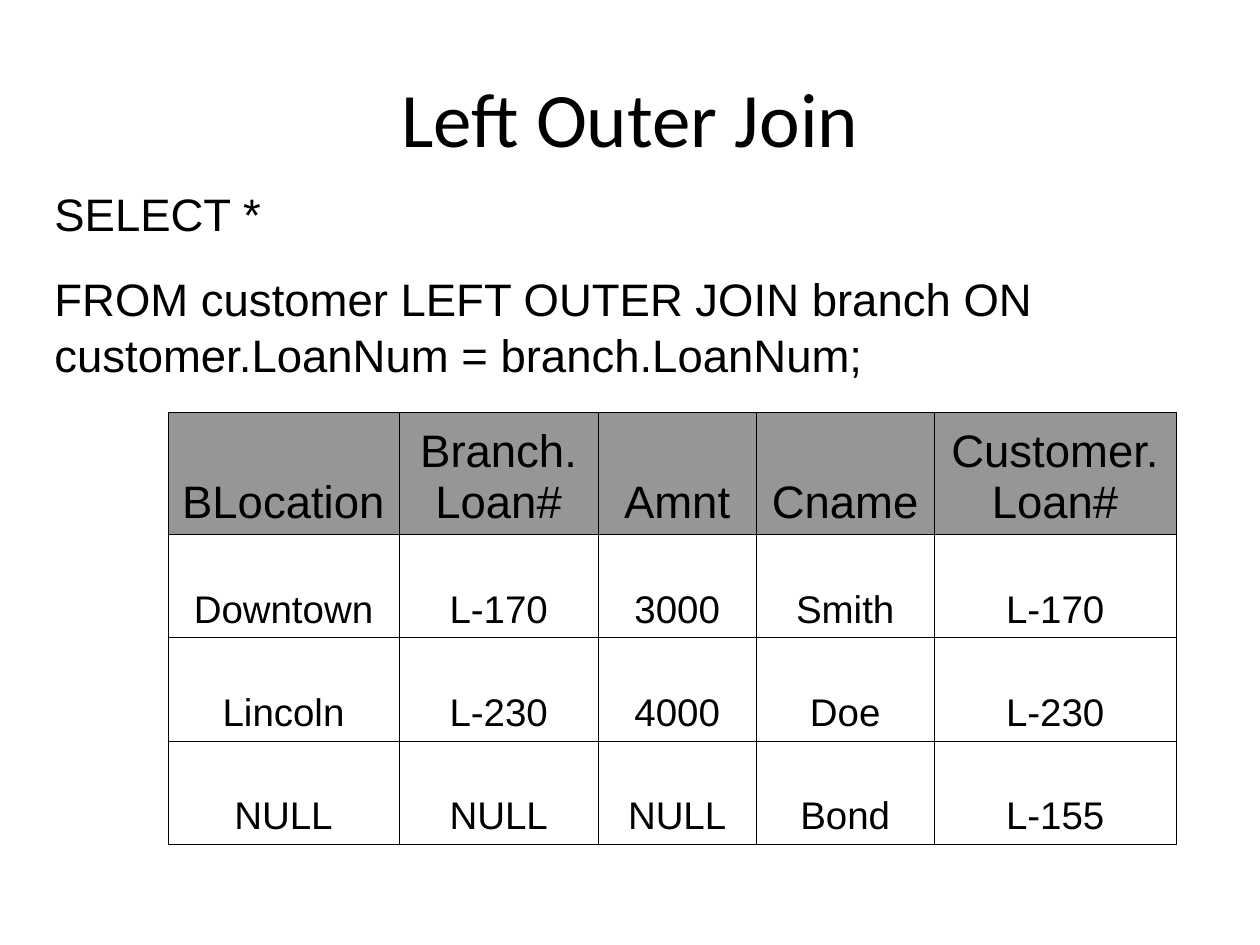
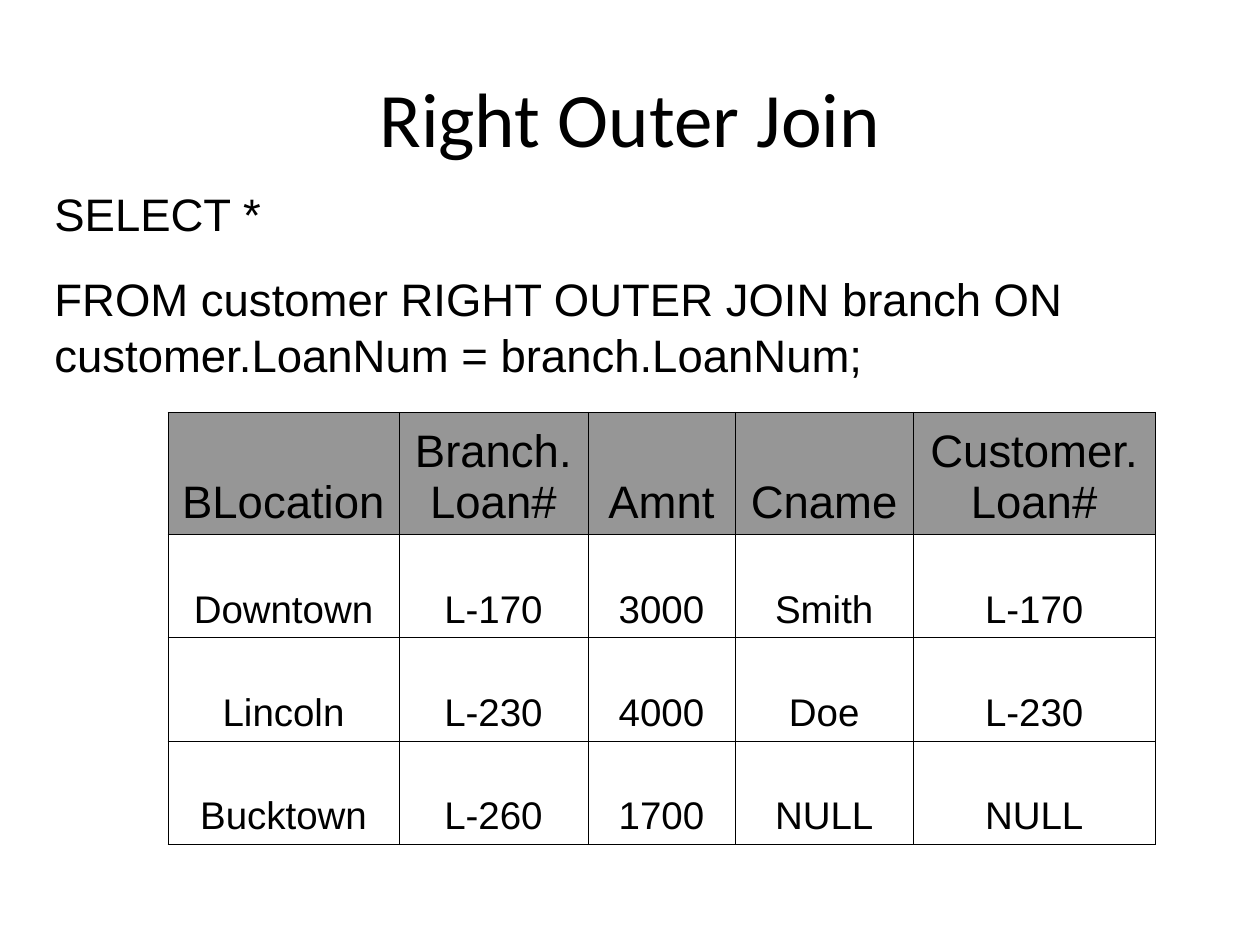
"""Build two slides that compare the left and right outer joins of SQL."""
from dataclasses import dataclass
from itertools import product

from lxml.etree import SubElement
from pptx import Presentation
from pptx.dml.color import RGBColor
from pptx.enum.text import MSO_ANCHOR, PP_ALIGN
from pptx.oxml.ns import qn
from pptx.presentation import Presentation as Deck
from pptx.slide import Slide
from pptx.table import _Cell
from pptx.text.text import TextFrame
from pptx.util import Inches, Length, Pt

UNITS_PER_INCH = 12
BLACK = "000000"
HEADER_GRAY = "969696"
BORDER_WIDTH = Pt(0.45)
HEADINGS = ("BLocation", "Branch.\nLoan#", "Amnt", "Cname", "Customer.\nLoan#")
SHARED_ROWS = (
    ("Downtown", "L-170", "3000", "Smith", "L-170"),
    ("Lincoln", "L-230", "4000", "Doe", "L-230"),
)
ROW_HEIGHTS = (11.62, 9.85, 9.85, 9.85)


@dataclass(frozen=True)
class Area:
    """A rectangle in grid units."""
    left: float
    top: float
    width: float
    height: float


@dataclass(frozen=True)
class TextStyle:
    """The look of every paragraph in a text frame."""
    font: str
    size: float
    alignment: PP_ALIGN
    space_before: float = 0
    line_spacing: float = 1.0


@dataclass(frozen=True)
class JoinSlide:
    """What differs between the join slides."""
    kind: str
    column_widths: tuple[float, ...]
    unmatched_row: tuple[str, ...]


TITLE_AREA = Area(6, 3.6, 108, 15)
QUERY_AREA = Area(4, 17, 113, 19.5)
TABLE_LEFT, TABLE_TOP = 16, 39.25
TITLE_STYLE = TextStyle("Calibri", 44, PP_ALIGN.CENTER)
QUERY_STYLE = TextStyle("Arial", 26, PP_ALIGN.LEFT, 16.2, 1.03)
HEADING_STYLE = TextStyle("Arial", 26, PP_ALIGN.CENTER)
VALUE_STYLE = TextStyle("Arial", 22, PP_ALIGN.CENTER)
JOINS = (
    JoinSlide("Left", (22, 19, 15, 17, 23), ("NULL", "NULL", "NULL", "Bond", "L-155")),
    JoinSlide("Right", (22, 18, 14, 17, 23), ("Bucktown", "L-260", "1700", "NULL", "NULL")),
)


def color(value: str) -> RGBColor:
    """Turn a hex string into a colour."""
    return RGBColor.from_string(value)


def grid(units: float) -> Length:
    """Turn grid units into a length."""
    return Inches(units / UNITS_PER_INCH)


def write_text(frame: TextFrame, text: str, style: TextStyle) -> None:
    """Fill a frame with one styled paragraph per line of text."""
    frame.text = text
    for index, paragraph in enumerate(frame.paragraphs):
        paragraph.alignment = style.alignment
        paragraph.line_spacing = style.line_spacing
        paragraph.space_before = Pt(style.space_before if index else 0)
        paragraph.font.name = style.font
        paragraph.font.size = Pt(style.size)
        paragraph.font.color.rgb = color(BLACK)


def add_text(slide: Slide, area: Area, text: str, style: TextStyle, anchor: MSO_ANCHOR) -> None:
    """Add a wrapping text box."""
    box = slide.shapes.add_textbox(*map(grid, (area.left, area.top, area.width, area.height)))
    frame = box.text_frame
    frame.word_wrap = True
    frame.vertical_anchor = anchor
    write_text(frame, text, style)


def add_borders(cell: _Cell) -> None:
    """Draw a thin black line on each side of a cell, beneath its fill in the XML order."""
    properties = cell._tc.get_or_add_tcPr()
    for position, side in enumerate(("a:lnL", "a:lnR", "a:lnT", "a:lnB")):
        line = SubElement(properties, qn(side), w=str(BORDER_WIDTH))
        SubElement(SubElement(line, qn("a:solidFill")), qn("a:srgbClr"), val=BLACK)
        properties.insert(position, line)


def add_result_table(slide: Slide, join: JoinSlide) -> None:
    """Add the table of rows that the join returns."""
    rows = (HEADINGS, *SHARED_ROWS, join.unmatched_row)
    area = Area(TABLE_LEFT, TABLE_TOP, sum(join.column_widths), sum(ROW_HEIGHTS))
    table = slide.shapes.add_table(
        len(rows), len(HEADINGS), *map(grid, (area.left, area.top, area.width, area.height))
    ).table
    table.horz_banding = False
    for column, width in zip(table.columns, join.column_widths):
        column.width = grid(width)
    for row, height in zip(table.rows, ROW_HEIGHTS):
        row.height = grid(height)
    for row_index, column_index in product(range(len(rows)), range(len(HEADINGS))):
        cell = table.cell(row_index, column_index)
        cell.vertical_anchor = MSO_ANCHOR.BOTTOM
        if row_index == 0:
            cell.fill.solid()
            cell.fill.fore_color.rgb = color(HEADER_GRAY)
        else:
            cell.fill.background()
        add_borders(cell)
        style = VALUE_STYLE if row_index else HEADING_STYLE
        write_text(cell.text_frame, rows[row_index][column_index], style)
    table.first_row = False


def add_join_slide(presentation: Deck, join: JoinSlide) -> None:
    """Add a slide with the title, query and result of one join."""
    slide = presentation.slides.add_slide(presentation.slide_layouts[6])
    query = (
        f"SELECT *\nFROM customer {join.kind.upper()} OUTER JOIN branch ON "
        "customer.LoanNum = branch.LoanNum;"
    )
    add_text(slide, TITLE_AREA, f"{join.kind} Outer Join", TITLE_STYLE, MSO_ANCHOR.MIDDLE)
    add_text(slide, QUERY_AREA, query, QUERY_STYLE, MSO_ANCHOR.TOP)
    add_result_table(slide, join)


def main() -> None:
    """Build and save the presentation."""
    presentation = Presentation()
    presentation.slide_width, presentation.slide_height = grid(120), grid(90)
    for join in JOINS:
        add_join_slide(presentation, join)
    presentation.save("out.pptx")


if __name__ == "__main__":
    main()
